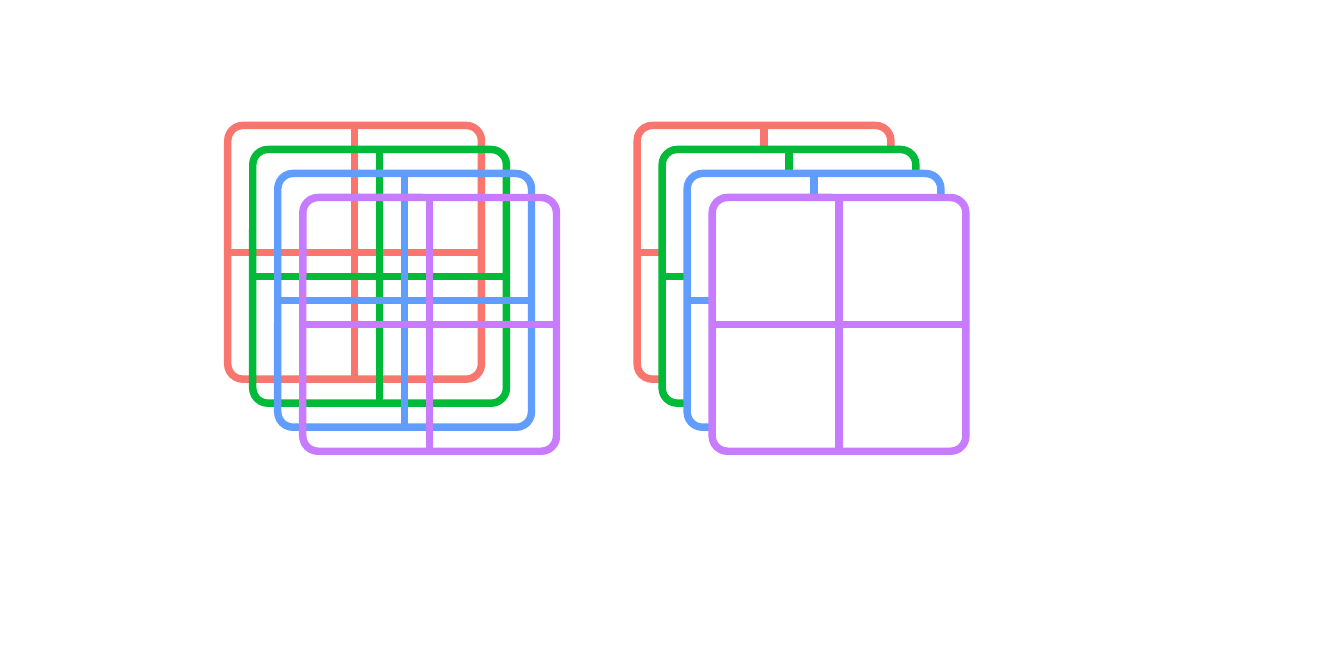
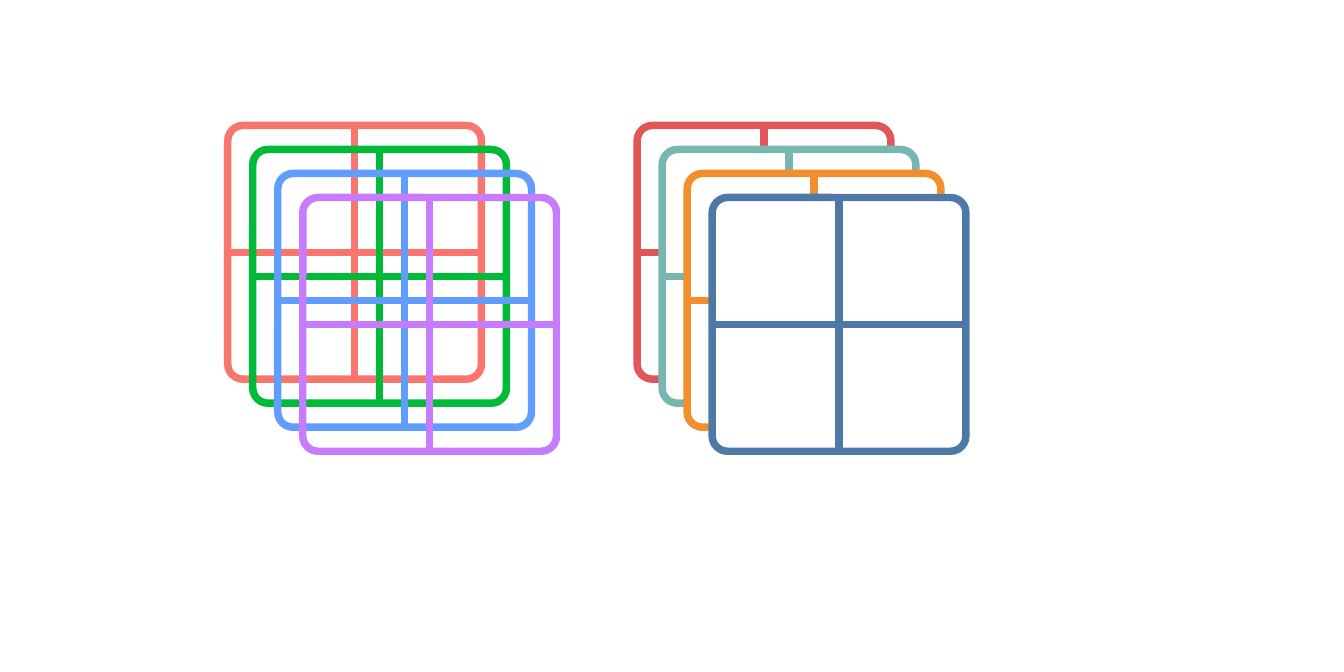
import pptx
import pptx.util
import pptx.dml.color
import pptx.enum.shapes
import pptx.oxml.ns
import lxml.etree

Pt = pptx.util.Pt
RGBColor = pptx.dml.color.RGBColor
KIND = pptx.enum.shapes

WHITE = RGBColor(0xFF, 0xFF, 0xFF)
CORAL = RGBColor(0xF8, 0x76, 0x6D)
GREEN = RGBColor(0x00, 0xBA, 0x38)
BLUE = RGBColor(0x61, 0x9C, 0xFF)
VIOLET = RGBColor(0xC7, 0x7C, 0xFF)
RED = RGBColor(0xE1, 0x57, 0x59)
TEAL = RGBColor(0x76, 0xB7, 0xB2)
ORANGE = RGBColor(0xF2, 0x8E, 0x2B)
NAVY = RGBColor(0x4E, 0x79, 0xA7)

BRIGHT = (CORAL, GREEN, BLUE, VIOLET)
MUTED = (RED, TEAL, ORANGE, NAVY)

SIDE = 203.9
STEP_X, STEP_Y = 20.1, 19.3
TOP = 100.8
CLEAR_X, SOLID_X = 183, 512
STROKE = 6
ROUND = 0.06


def paint(line, color):
    line.color.rgb = color
    line.width = Pt(STROKE)


def add_bar(group, start, end, color):
    points = [Pt(value) for value in start + end]
    bar = group.shapes.add_connector(KIND.MSO_CONNECTOR.STRAIGHT, *points)
    paint(bar.line, color)
    lxml.etree.SubElement(bar._element.spPr, pptx.oxml.ns.qn("a:effectLst"))


def add_pane(slide, left, top, side, color, solid):
    group = slide.shapes.add_group_shape()
    frame = group.shapes.add_shape(
        KIND.MSO_SHAPE.ROUNDED_RECTANGLE, Pt(left), Pt(top), Pt(side), Pt(side))
    frame.adjustments[0] = ROUND
    frame.shadow.inherit = False
    if solid:
        frame.fill.solid()
        frame.fill.fore_color.rgb = WHITE
    else:
        frame.fill.background()
    paint(frame.line, color)
    mid_x, mid_y = left + side / 2, top + side / 2
    add_bar(group, (mid_x, top), (mid_x, top + side), color)
    add_bar(group, (left, mid_y), (left + side, mid_y), color)


def add_stack(slide, left, top, colors, solid):
    for index, color in enumerate(colors):
        add_pane(slide, left + index * STEP_X, top + index * STEP_Y,
                 SIDE, color, solid)


def add_pair(deck, colors):
    slide = deck.slides.add_slide(deck.slide_layouts[6])
    add_stack(slide, CLEAR_X, TOP, BRIGHT, False)
    add_stack(slide, SOLID_X, TOP, colors, True)


def main():
    deck = pptx.Presentation()
    deck.slide_width, deck.slide_height = Pt(1080), Pt(540)
    for colors in (BRIGHT, MUTED):
        add_pair(deck, colors)
    deck.save("out.pptx")


if __name__ == "__main__":
    main()
